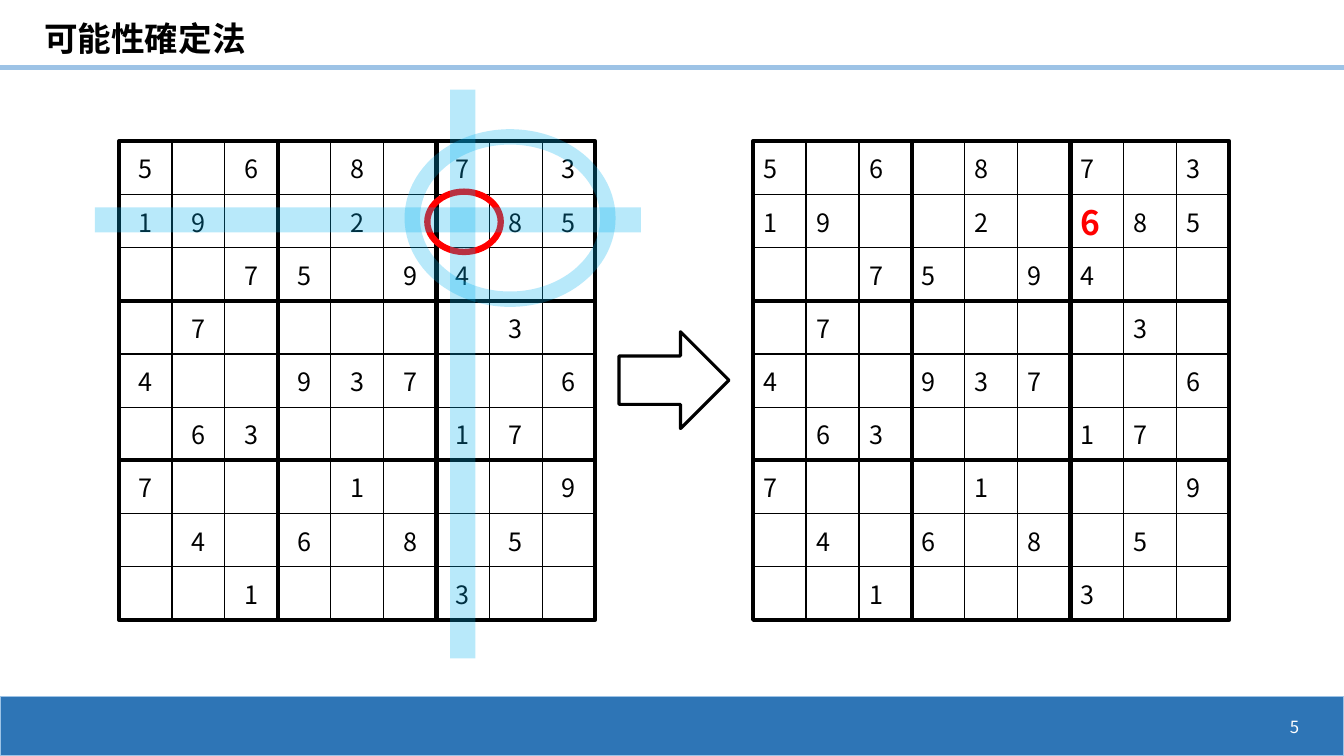
from pptx import Presentation
from pptx.dml.color import RGBColor
from pptx.enum.shapes import MSO_CONNECTOR, MSO_SHAPE
from pptx.enum.text import MSO_ANCHOR, PP_ALIGN
from pptx.oxml.ns import qn
from pptx.util import Cm, Pt
from lxml.etree import SubElement, fromstring

FONT = "Noto Sans CJK JP"
BLACK, WHITE, RED, SKY, PALE, BLUE = (
    "000000", "FFFFFF", "FF0000", "00B0F0", "9DC3E6", "2E75B6")
NS = "http://schemas.openxmlformats.org/drawingml/2006/main"
WIDE, HIGH = 33.87, 19.05
SIDE, TALL, TOP = 12, 12.06, 3.56
LEFTS = (3, 18.98)
GRID = (
    "5.6.8.7.3",
    "19..2..85",
    "..75.94..",
    ".7.....3.",
    "4..937..6",
    ".63...17.",
    "7...1...9",
    ".4.6.8.5.",
    "..1...3..",
)


def paint(part, color):
    part.rgb = RGBColor.from_string(color)


def apply(item, values):
    for name, value in values.items():
        setattr(item, name, value)


def write(frame, text, size, color=BLACK, bold=False, align=PP_ALIGN.LEFT):
    para = frame.paragraphs[0]
    para.alignment = align
    run = para.add_run()
    run.text = text
    apply(run.font, {"name": FONT, "size": Pt(size), "bold": bold})
    paint(run.font.color, color)
    SubElement(run.font._element, qn("a:ea")).set("typeface", FONT)


def stroke(item, color, width, alpha=None):
    """Set the outline; alpha is the opacity in percent."""
    paint(item.line.color, color)
    item.line.width = Pt(width)
    if alpha:
        tint = item.element.xpath(".//a:ln//a:srgbClr")[0]
        SubElement(tint, qn("a:alpha")).set("val", str(alpha * 1000))


def draw(slide, kind, box, color, width, fill=None, alpha=None):
    shape = slide.shapes.add_shape(kind, *map(Cm, box))
    shape.shadow.inherit = False
    if fill:
        shape.fill.solid()
        paint(shape.fill.fore_color, fill)
    else:
        shape.fill.background()
    stroke(shape, color, width, alpha)


def rule(slide, ends, color, width, alpha=None):
    line = slide.shapes.add_connector(MSO_CONNECTOR.STRAIGHT, *map(Cm, ends))
    stroke(line, color, width, alpha)
    SubElement(line.element.spPr, qn("a:effectLst"))


def border(cell):
    props = cell._tc.get_or_add_tcPr()
    for spot, edge in enumerate("LRTB"):
        props.insert(spot, fromstring(
            f'<a:ln{edge} xmlns:a="{NS}" w="12700"><a:solidFill>'
            f'<a:srgbClr val="{BLACK}"/></a:solidFill></a:ln{edge}>'))


def board(slide, left, align, found=None):
    """Draw a sudoku board; found maps (row, column) to a solved digit."""
    found = found or {}
    draw(slide, MSO_SHAPE.RECTANGLE, (left, TOP, SIDE, TALL), BLACK, 3)
    table = slide.shapes.add_table(
        9, 9, *map(Cm, (left, TOP, SIDE, TALL))).table
    apply(table, {"first_row": False, "horz_banding": False})
    for col in table.columns:
        col.width = Cm(SIDE / 9)
    for y, digits in enumerate(GRID):
        table.rows[y].height = Cm(TALL / 9)
        for x, digit in enumerate(digits):
            cell = table.cell(y, x)
            apply(cell, {"margin_top": 0, "margin_bottom": 0,
                         "vertical_anchor": MSO_ANCHOR.MIDDLE})
            cell.fill.background()
            border(cell)
            if (y, x) in found:
                write(cell.text_frame, found[y, x], 24, RED, True, align)
            elif digit != ".":
                write(cell.text_frame, digit, 18, align=align)
    for third in (1, 2):
        x, y = left + SIDE * third / 3, TOP + TALL * third / 3
        rule(slide, (left, y, left + SIDE, y), BLACK, 3)
        rule(slide, (x, TOP, x, TOP + TALL), BLACK, 3)


def head(slide):
    rule(slide, (0, 1.7, WIDE, 1.7), PALE, 3)
    title = slide.shapes.title
    apply(title, {"left": Cm(0.86), "top": Cm(0.33),
                  "width": Cm(9.5), "height": Cm(1.27)})
    apply(title.text_frame, {"vertical_anchor": MSO_ANCHOR.TOP,
                             "word_wrap": True})
    write(title.text_frame, "可能性確定法", 24, bold=True)


def foot(slide):
    draw(slide, MSO_SHAPE.RECTANGLE, (0, 17.55, WIDE, 1.5), PALE, 1, BLUE)
    frame = slide.shapes.add_textbox(
        *map(Cm, (25.37, 17.8, 7.62, 1.02))).text_frame
    apply(frame, {"word_wrap": True, "vertical_anchor": MSO_ANCHOR.MIDDLE})
    write(frame, "5", 12, WHITE, align=PP_ALIGN.RIGHT)


def main():
    deck = Presentation()
    apply(deck, {"slide_width": Cm(WIDE), "slide_height": Cm(HIGH)})
    slide = deck.slides.add_slide(deck.slide_layouts[5])
    head(slide)
    foot(slide)
    board(slide, LEFTS[0], PP_ALIGN.CENTER)
    board(slide, LEFTS[1], PP_ALIGN.LEFT, {(1, 6): "6"})
    draw(slide, MSO_SHAPE.RIGHT_ARROW, (15.6, 8.36, 2.77, 2.44), BLACK, 2.25)
    draw(slide, MSO_SHAPE.OVAL, (10.77, 4.83, 1.85, 1.52), RED, 4.5)
    rule(slide, (2.39, 5.54, 16.15, 5.54), SKY, 18, 28)
    rule(slide, (11.66, 2.26, 11.66, 16.59), SKY, 18, 28)
    draw(slide, MSO_SHAPE.OVAL, (10.39, 3.45, 4.93, 4.09), SKY, 11, alpha=28)
    deck.save("out.pptx")


if __name__ == "__main__":
    main()
